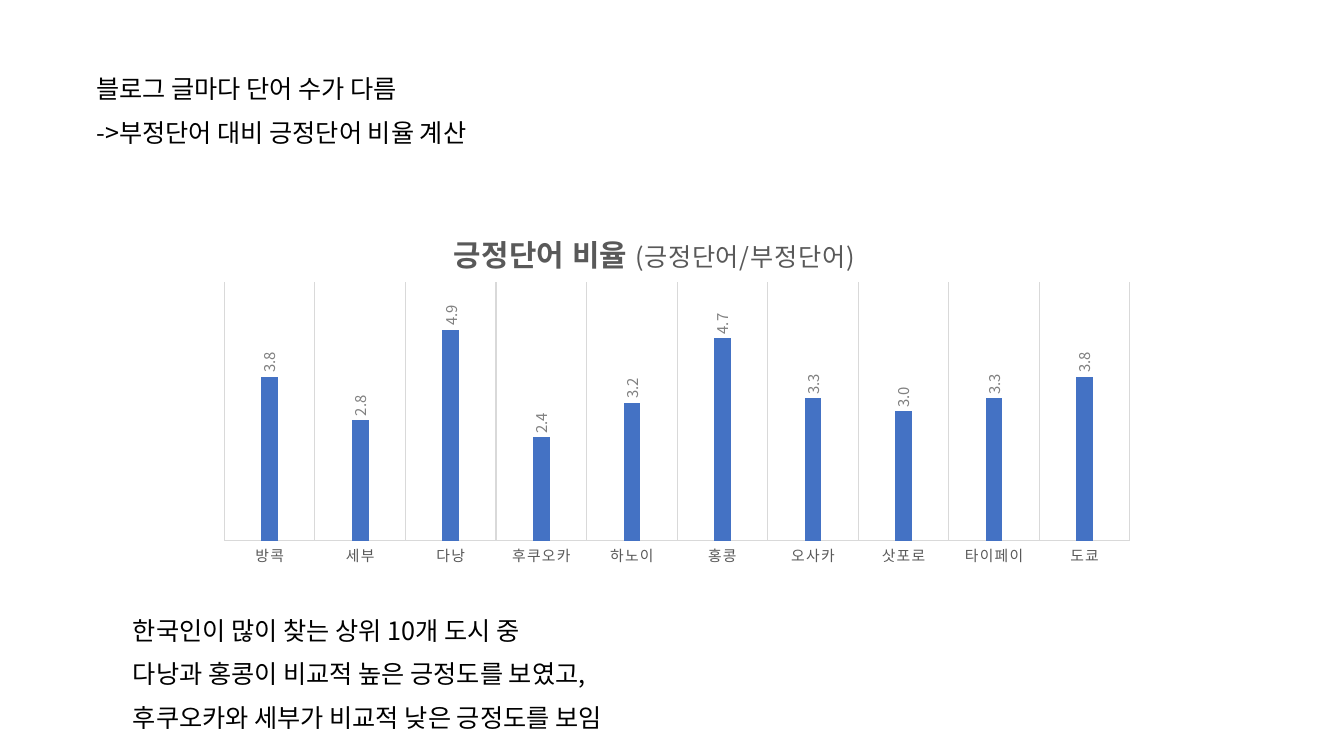
from dataclasses import dataclass

from lxml.etree import SubElement
from pptx import Presentation
from pptx.chart.data import CategoryChartData
from pptx.dml.color import RGBColor
from pptx.enum.chart import XL_CHART_TYPE as ChartType
from pptx.enum.chart import XL_LABEL_POSITION as LabelPosition
from pptx.enum.chart import XL_TICK_LABEL_POSITION as TickLabelPosition
from pptx.enum.chart import XL_TICK_MARK as TickMark
from pptx.enum.text import MSO_AUTO_SIZE as AutoSize
from pptx.enum.text import PP_ALIGN as Align
from pptx.oxml import parse_xml
from pptx.oxml.ns import nsdecls, qn
from pptx.util import Cm, Pt


@dataclass(frozen=True)
class Theme:
    font: str = "Noto Sans CJK KR"
    text: str = "000000"
    bar: str = "4472C4"
    axis_text: str = "595959"
    value_text: str = "808080"
    grid: str = "D9D9D9"
    body_size: float = 18
    title_size: float = 21.3
    label_size: float = 10.6
    grid_width: float = 0.75


@dataclass(frozen=True)
class Box:
    left: float
    top: float
    width: float
    height: float

    def lengths(self) -> list:
        return [Cm(n) for n in (self.left, self.top, self.width, self.height)]


@dataclass(frozen=True)
class Note:
    box: Box
    lines: tuple


THEME = Theme()
CHART_BOX = Box(5.18, 5.28, 23.77, 9.17)
RATIOS = {
    "방콕": 3.8, "세부": 2.8, "다낭": 4.9, "후쿠오카": 2.4, "하노이": 3.2,
    "홍콩": 4.7, "오사카": 3.3, "삿포로": 3.0, "타이페이": 3.3, "도쿄": 3.8,
}
TITLE_RUNS = (
    ("긍정단어 비율 ", THEME.title_size, True),
    ("(긍정단어/부정단어)", THEME.body_size, False),
)
NOTES = (
    Note(Box(2.18, 1.68, 18.95, 2.13), (
        "블로그 글마다 단어 수가 다름",
        "->부정단어 대비 긍정단어 비율 계산",
    )),
    Note(Box(3.1, 15.32, 18.95, 3.23), (
        "한국인이 많이 찾는 상위 10개 도시 중 ",
        "다낭과 홍콩이 비교적 높은 긍정도를 보였고, ",
        "후쿠오카와 세부가 비교적 낮은 긍정도를 보임",
    )),
)


def apply(target, values: dict) -> None:
    for name, value in values.items():
        setattr(target, name, value)


def style_font(font, size: float, color: str, bold: bool = False) -> None:
    apply(font, {"name": THEME.font, "size": Pt(size), "bold": bold})
    font.color.rgb = RGBColor.from_string(color)


def set_korean_font(root) -> None:
    """Use the Latin typeface for Korean characters as well."""
    for latin in list(root.iter(qn("a:latin"))):
        korean = parse_xml(f'<a:ea {nsdecls("a")} typeface="{THEME.font}"/>')
        latin.addnext(korean)


def style_line(line) -> None:
    line.color.rgb = RGBColor.from_string(THEME.grid)
    line.width = Pt(THEME.grid_width)


def place(parent, **fractions) -> None:
    """Give a chart part a manual layout in fractions of the chart."""
    layout = parent.get_or_add_layout() if hasattr(parent, "get_or_add_layout") else parent.find(qn("c:layout"))
    if layout is None:
        layout = parse_xml(f'<c:layout {nsdecls("c")}/>')
        anchor = parent.find(qn("c:tx"))
        if anchor is None:
            parent.insert(0, layout)
        else:
            anchor.addnext(layout)
    for child in list(layout):
        layout.remove(child)
    manual = SubElement(layout, qn("c:manualLayout"))
    for name, value in fractions.items():
        SubElement(manual, qn(f"c:{name}")).set("val", str(value))


def add_title(chart) -> None:
    chart.has_title = True
    paragraph = chart.chart_title.text_frame.paragraphs[0]
    for text, size, bold in TITLE_RUNS:
        run = paragraph.add_run()
        run.text = text
        style_font(run.font, size, THEME.axis_text, bold)
        run.font._element.set("spc", "50")
    place(chart.chart_title._element, xMode="edge", yMode="edge", x=0.26, y=0.05)


def style_axes(chart) -> None:
    cities = chart.category_axis
    apply(cities, {"has_major_gridlines": True, "major_tick_mark": TickMark.NONE,
                   "minor_tick_mark": TickMark.NONE})
    style_font(cities.tick_labels.font, THEME.label_size, THEME.axis_text)
    cities.tick_labels.font._element.set("spc", "100")
    style_line(cities.format.line)
    style_line(cities.major_gridlines.format.line)
    apply(chart.value_axis, {"minimum_scale": 0, "maximum_scale": 6,
                             "has_major_gridlines": False, "visible": False,
                             "tick_label_position": TickLabelPosition.NONE})


def style_bars(plot) -> None:
    apply(plot, {"gap_width": 444, "overlap": -90, "vary_by_categories": False})
    series = plot.series[0]
    apply(series, {"smooth": False} if hasattr(series, "smooth") else {})
    series.format.fill.solid()
    series.format.fill.fore_color.rgb = RGBColor.from_string(THEME.bar)
    labels = series.data_labels
    apply(labels, {"show_value": True, "position": LabelPosition.OUTSIDE_END,
                   "number_format": r"#,##0.0_);[Red]\(#,##0.0\)",
                   "number_format_is_linked": False})
    style_font(labels.font, THEME.label_size, THEME.value_text)
    # Turn the values upright along the bars
    body = labels._element.find(qn("c:txPr")).find(qn("a:bodyPr"))
    apply_rotation = {"rot": "-5400000", "vert": "horz"}
    for name, value in apply_rotation.items():
        body.set(name, value)


def add_ratio_chart(slide) -> None:
    data = CategoryChartData()
    data.categories = list(RATIOS)
    data.add_series("Series 1", list(RATIOS.values()))
    frame = slide.shapes.add_chart(ChartType.COLUMN_CLUSTERED, *CHART_BOX.lengths(), data)
    chart = frame.chart
    chart.has_legend = False
    style_font(chart.font, 10, THEME.text)
    add_title(chart)
    style_axes(chart)
    style_bars(chart.plots[0])
    plot_area = chart._chartSpace.find(qn("c:chart")).find(qn("c:plotArea"))
    place(plot_area, layoutTarget="inner", xMode="edge", yMode="edge",
          x=0.02, y=0.2, w=0.96, h=0.71)
    set_korean_font(chart._chartSpace)


def add_note(slide, note: Note) -> None:
    shape = slide.shapes.add_textbox(*note.box.lengths())
    text_frame = shape.text_frame
    apply(text_frame, {"word_wrap": True, "auto_size": AutoSize.SHAPE_TO_FIT_TEXT})
    for index, line in enumerate(note.lines):
        paragraph = text_frame.add_paragraph() if index else text_frame.paragraphs[0]
        apply(paragraph, {"alignment": Align.JUSTIFY, "line_spacing": 1.07, "space_after": Pt(8)})
        run = paragraph.add_run()
        run.text = line
        style_font(run.font, THEME.body_size, THEME.text)
    set_korean_font(shape._element)


def main() -> None:
    presentation = Presentation()
    apply(presentation, {"slide_width": Cm(33.87), "slide_height": Cm(19.05)})
    slide = presentation.slides.add_slide(presentation.slide_layouts[6])
    # Chart of positive word ratios
    add_ratio_chart(slide)
    # Notes above and below the chart
    for note in NOTES:
        add_note(slide, note)
    presentation.save("out.pptx")


if __name__ == "__main__":
    main()
